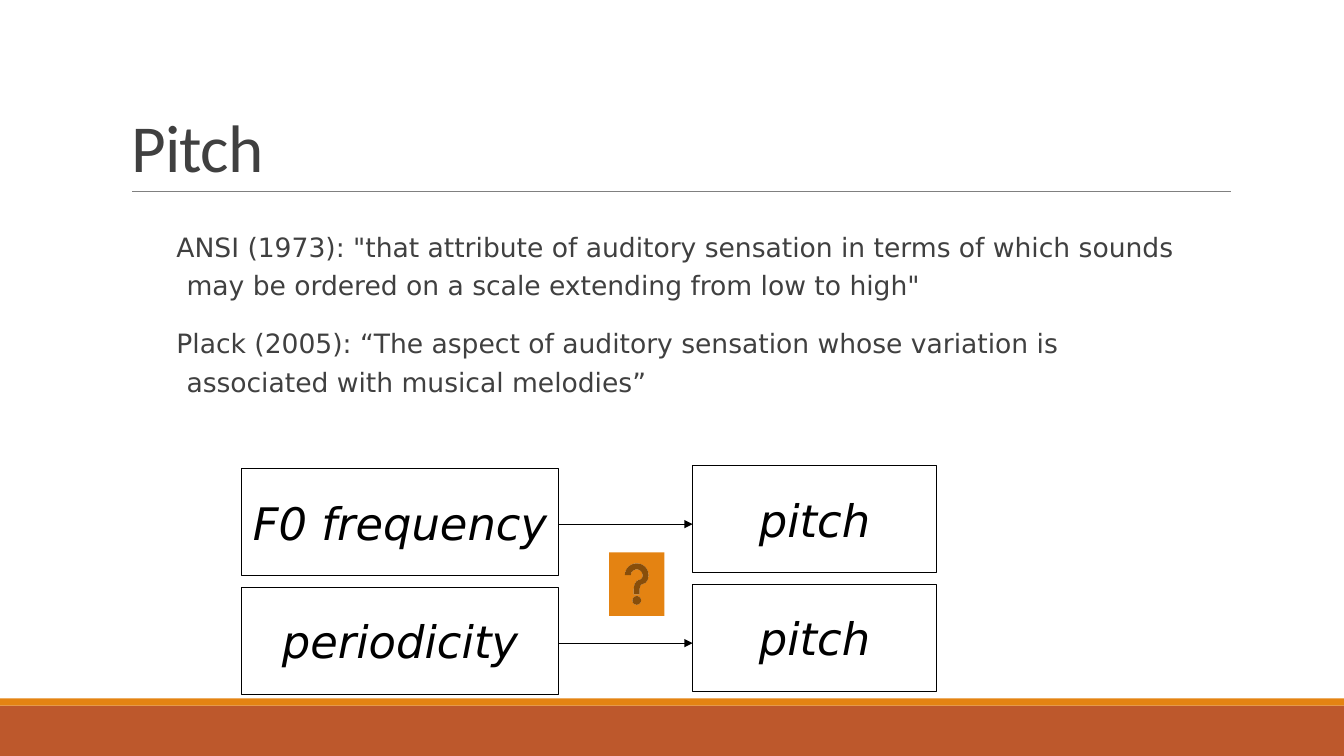
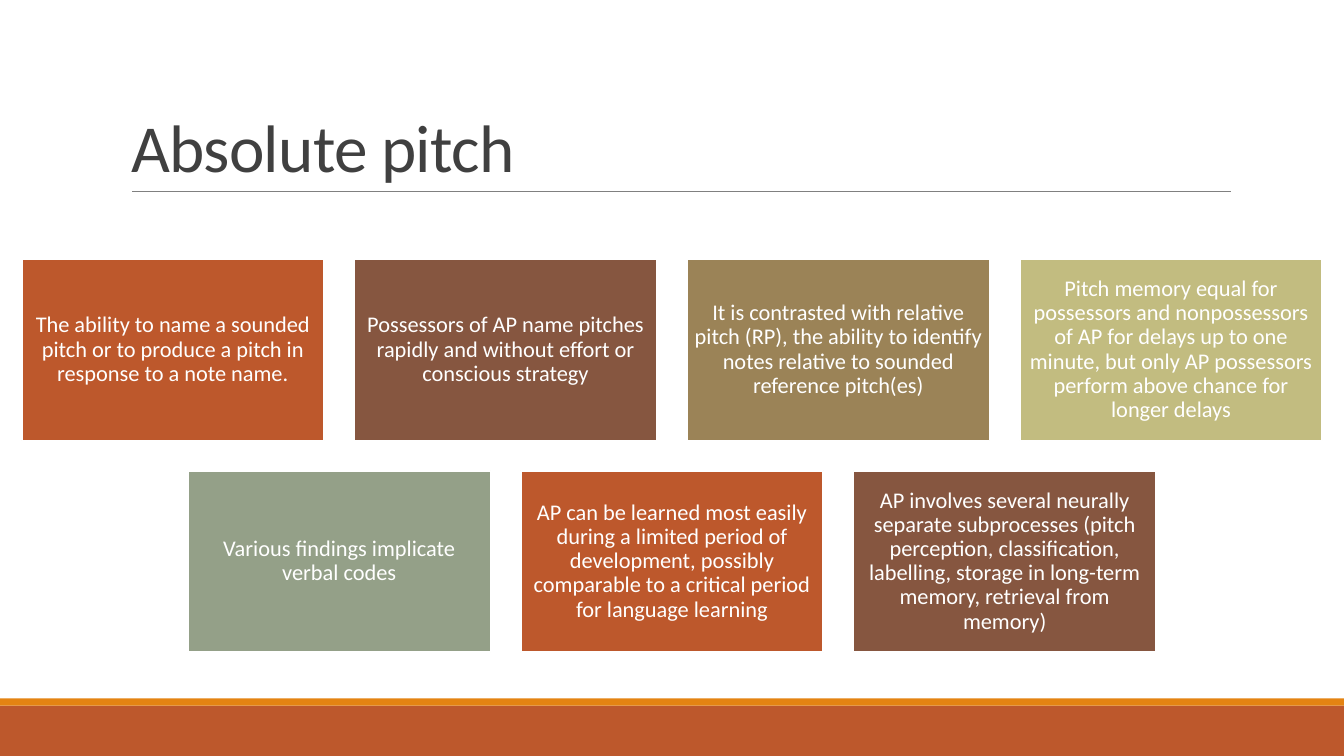
from lxml.etree import SubElement
from pptx import Presentation
from pptx.dml.color import RGBColor
from pptx.enum.shapes import MSO_CONNECTOR, MSO_SHAPE
from pptx.enum.text import MSO_ANCHOR, MSO_AUTO_SIZE, PP_ALIGN
from pptx.oxml.ns import qn
from pptx.util import Inches, Pt

WHITE = RGBColor(0xFF, 0xFF, 0xFF)
BLACK = RGBColor(0x00, 0x00, 0x00)
TEXT_GREY = RGBColor(0x40, 0x40, 0x40)
RULE_GREY = RGBColor(0x80, 0x80, 0x80)
ORANGE = RGBColor(0xE4, 0x83, 0x12)
RUST = RGBColor(0xBD, 0x58, 0x2C)
BROWN = RGBColor(0x86, 0x56, 0x40)
TAN = RGBColor(0x9B, 0x83, 0x57)
SAND = RGBColor(0xC2, 0xBC, 0x80)
SAGE = RGBColor(0x94, 0xA0, 0x88)
CARD_COLORS = [RUST, BROWN, TAN, SAND, SAGE]

HEADING_FONT = "Calibri"
BODY_FONT = "DejaVu Sans"
SLIDE_WIDTH = 13.33
SLIDE_HEIGHT = 7.5
TITLE_ONLY = 5

CARD_WIDTH, CARD_HEIGHT, CARD_GAP = 3, 1.8, 0.3
CARDS_TOP = 2.57

DEFINITIONS = [
    'ANSI (1973): "that attribute of auditory sensation in terms of which sounds '
    'may be ordered on a scale extending from low to high"',
    "Plack (2005): “The aspect of auditory sensation whose variation is "
    "associated with musical melodies”",
]
CARD_ROWS = [
    [
        "The ability to name a sounded pitch or to produce a pitch in response to a note name.",
        "Possessors of AP name pitches rapidly and without effort or conscious strategy",
        "It is contrasted with relative pitch (RP), the ability to identify notes "
        "relative to sounded reference pitch(es)",
        "Pitch memory equal for possessors and nonpossessors of AP for delays up to "
        "one minute, but only AP possessors perform above chance for longer delays",
    ],
    [
        "Various findings implicate verbal codes",
        "AP can be learned most easily during a limited period of development, "
        "possibly comparable to a critical period for language learning",
        "AP involves several neurally separate subprocesses (pitch perception, "
        "classification, labelling, storage in long-term memory, retrieval from memory)",
    ],
]


def style_text(para, font_name, size, color, italic=False):
    for span in para.runs:
        span.font.name = font_name
        span.font.size = Pt(size)
        span.font.color.rgb = color
        span.font.italic = italic


def add_block(page, left, top, width, height, fill=None, line=None,
              line_width=0.75, preset=MSO_SHAPE.RECTANGLE):
    box = page.shapes.add_shape(
        preset, Inches(left), Inches(top), Inches(width), Inches(height))
    box.shadow.inherit = False
    if fill is None:
        box.fill.background()
    else:
        box.fill.solid()
        box.fill.fore_color.rgb = fill
    if line is None:
        box.line.fill.background()
    else:
        box.line.color.rgb = line
        box.line.width = Pt(line_width)
    return box


def add_line(page, left, right, y, color, width, arrow=False):
    line = page.shapes.add_connector(
        MSO_CONNECTOR.STRAIGHT, Inches(left), Inches(y), Inches(right), Inches(y))
    line.line.color.rgb = color
    line.line.width = Pt(width)
    if arrow:
        SubElement(line.line._get_or_add_ln(), qn("a:tailEnd"), type="triangle")
    SubElement(line._element.spPr, qn("a:effectLst"))


def add_page(deck, title):
    page = deck.slides.add_slide(deck.slide_layouts[TITLE_ONLY])
    add_block(page, 0, 7, SLIDE_WIDTH, 0.5, RUST)
    add_block(page, 0, 6.93, SLIDE_WIDTH, 0.07, ORANGE)
    add_line(page, 1.31, 12.21, 1.9, RULE_GREY, 0.5)

    box = page.shapes.title
    box.left, box.top = Inches(1.2), Inches(0.31)
    box.width, box.height = Inches(11), Inches(1.59)
    frame = box.text_frame
    frame.text = title
    frame.auto_size = MSO_AUTO_SIZE.NONE
    frame.vertical_anchor = MSO_ANCHOR.BOTTOM
    para = frame.paragraphs[0]
    para.alignment = PP_ALIGN.LEFT
    para.line_spacing = 0.85
    style_text(para, HEADING_FONT, 48, TEXT_GREY)
    para.runs[0]._r.get_or_add_rPr().set("spc", "-50")
    return page


def add_definitions(page, texts):
    box = page.shapes.add_textbox(
        Inches(1.75), Inches(2.18), Inches(9.92), Inches(2.31))
    frame = box.text_frame
    frame.word_wrap = True
    frame.margin_left = frame.margin_right = 0
    frame.text = "\n".join(texts)
    for para in frame.paragraphs:
        properties = para._p.get_or_add_pPr()
        properties.set("marL", str(Inches(0.1)))
        properties.set("indent", str(Inches(-0.1)))
        para.line_spacing = 1.2
        para.space_after = Pt(14)
        style_text(para, BODY_FONT, 19, TEXT_GREY)


def add_term(page, text, left, top, width):
    box = add_block(page, left, top, width, 1.06, line=BLACK)
    frame = box.text_frame
    frame.word_wrap = False
    frame.vertical_anchor = MSO_ANCHOR.MIDDLE
    frame.text = text
    para = frame.paragraphs[0]
    para.alignment = PP_ALIGN.CENTER
    style_text(para, BODY_FONT, 32, BLACK, italic=True)


def add_mapping(page, cause, effect, top):
    add_term(page, cause, 2.4, top + 0.03, 3.14)
    add_term(page, effect, 6.87, top, 2.42)
    add_line(page, 5.54, 6.87, top + 0.58, BLACK, 0.75, arrow=True)


def add_card(page, text, left, top, fill):
    box = add_block(page, left, top, CARD_WIDTH, CARD_HEIGHT, fill, WHITE, 1.25)
    frame = box.text_frame
    frame.word_wrap = True
    frame.vertical_anchor = MSO_ANCHOR.MIDDLE
    frame.margin_left = frame.margin_right = Inches(0.07)
    frame.margin_top = frame.margin_bottom = Inches(0.07)
    frame.text = text
    para = frame.paragraphs[0]
    para.alignment = PP_ALIGN.CENTER
    para.line_spacing = 0.9
    style_text(para, HEADING_FONT, 16, WHITE)


def add_card_grid(page, rows):
    number = 0
    for row_index, texts in enumerate(rows):
        row_width = len(texts) * (CARD_WIDTH + CARD_GAP) - CARD_GAP
        row_left = (SLIDE_WIDTH - row_width) / 2
        top = CARDS_TOP + row_index * (CARD_HEIGHT + CARD_GAP)
        for column, text in enumerate(texts):
            left = row_left + column * (CARD_WIDTH + CARD_GAP)
            add_card(page, text, left, top, CARD_COLORS[number % len(CARD_COLORS)])
            number += 1


def main():
    deck = Presentation()
    deck.slide_width = Inches(SLIDE_WIDTH)
    deck.slide_height = Inches(SLIDE_HEIGHT)

    pitch_page = add_page(deck, "Pitch")
    add_definitions(pitch_page, DEFINITIONS)
    add_mapping(pitch_page, "F0 frequency", "pitch", 4.62)
    add_mapping(pitch_page, "periodicity", "pitch", 5.8)
    add_block(pitch_page, 6.04, 5.48, 0.55, 0.63, ORANGE,
              preset=MSO_SHAPE.ACTION_BUTTON_HELP)

    absolute_page = add_page(deck, "Absolute pitch")
    add_card_grid(absolute_page, CARD_ROWS)

    deck.save("out.pptx")


if __name__ == "__main__":
    main()
